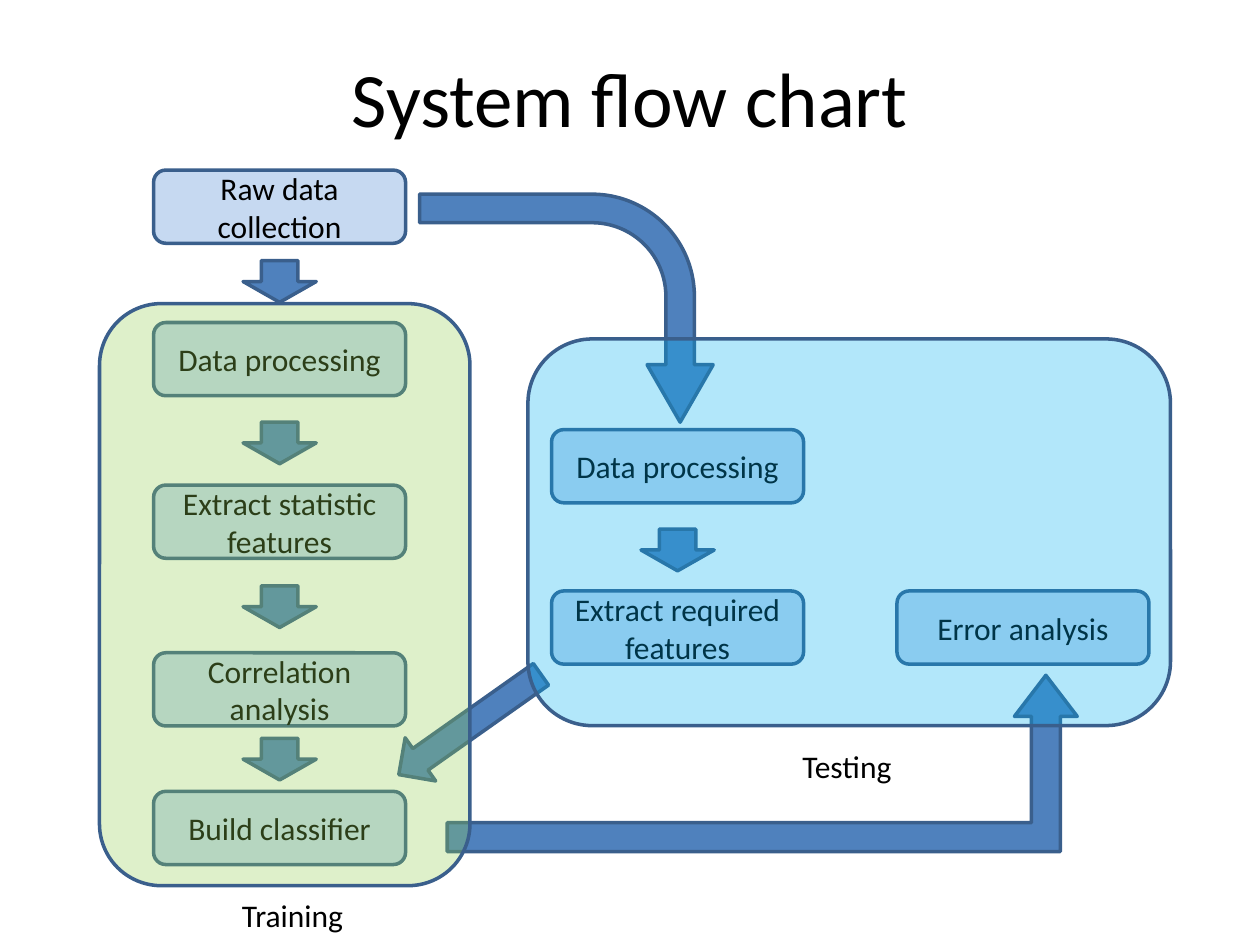
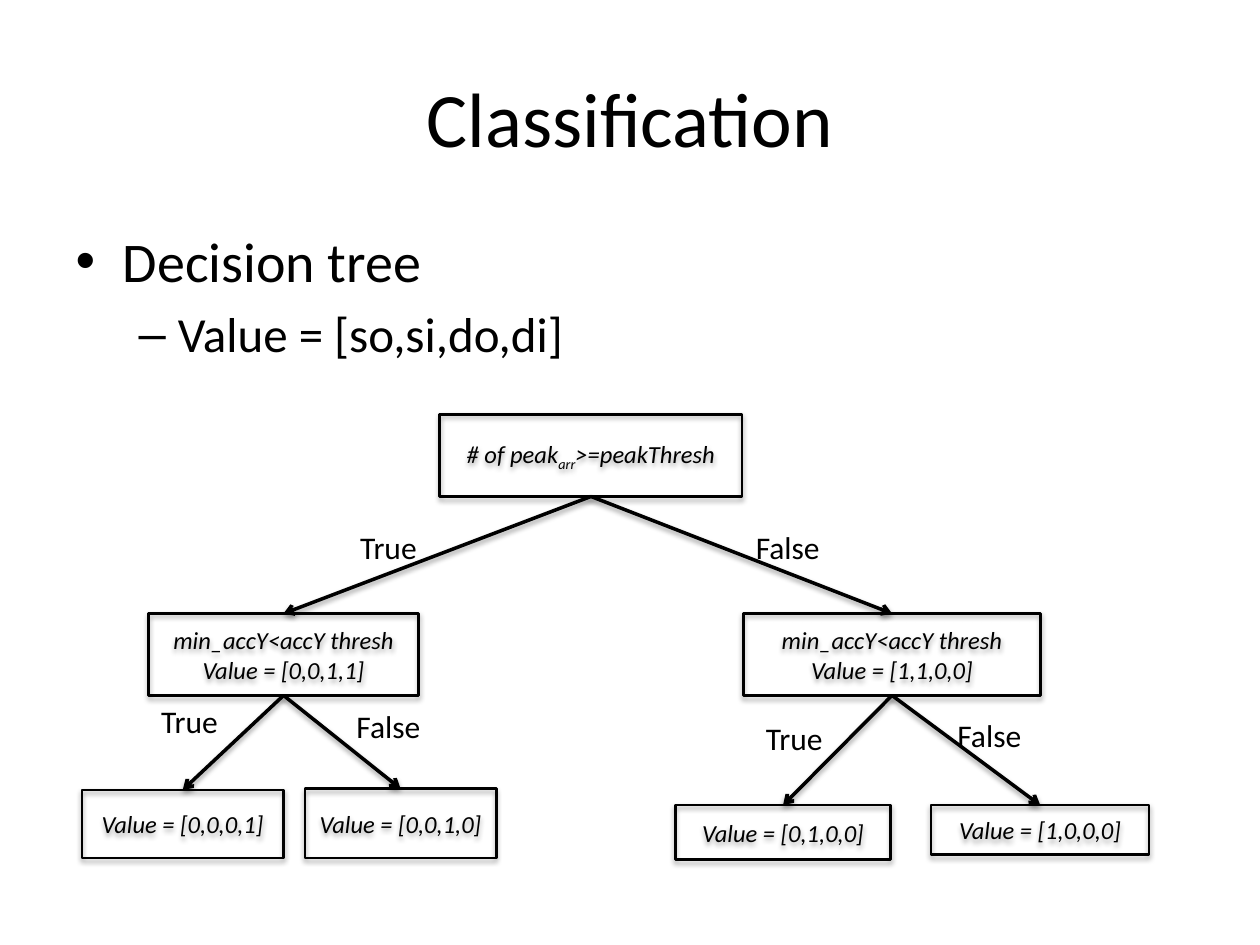
from lxml.etree import SubElement
from pptx import Presentation
from pptx.dml.color import RGBColor
from pptx.enum.shapes import MSO_CONNECTOR as Link, MSO_SHAPE as Kind
from pptx.enum.text import MSO_ANCHOR as Anchor, PP_ALIGN as Align
from pptx.oxml.ns import qn
from pptx.util import Pt

BLACK = RGBColor(0x00, 0x00, 0x00)
PALE = RGBColor(0xC6, 0xD9, 0xF1)
BLUE = RGBColor(0x4F, 0x81, 0xBD)
NAVY = RGBColor(0x3A, 0x5F, 0x8C)
GREEN = RGBColor(0x92, 0xD0, 0x50)
CYAN = RGBColor(0x00, 0xB0, 0xF0)
FONT = "Calibri"

STEP_W, STEP_H = 144, 41.8
DOWN_W, DOWN_H = 41.8, 23.8
FLOWS = [
    (87.8, [("Raw data collection", 97.2), ("Data processing", 184.3),
            ("Extract statistic features", 277.2), ("Correlation analysis", 373),
            ("Build classifier", 452.2)], [149, 241.2, 334.8, 421.9]),
    (315.2, [("Data processing", 245.5), ("Extract required features", 337.7)], [302.4]),
    (512.6, [("Error analysis", 337.7)], []),
]
BENDS = [
    (Kind.BENT_ARROW, (258.5, 92.2, 130.3, 167.8), 90, [0.125, 0.145, 0.252, 0.449]),
    (Kind.DOWN_ARROW, (253.4, 364.3, 30.2, 99.4), 54.8, []),
    (Kind.BENT_UP_ARROW, (255.6, 385.9, 360, 100.8), 0, [0.164, 0.178, 0.233]),
]
ZONES = [
    ("Training", GREEN, (56.9, 173.5, 211.7, 332.6), (124.6, 508.3)),
    ("Testing", CYAN, (301.7, 193.7, 367.2, 221), (441.4, 423.4)),
]

BULLETS = [("Decision tree", 0, 32), ("Value = [so,si,do,di]", 1, 28)]
NODES = {
    "root": ("# of peak|arr|>=peakThresh", (251.3, 236.9, 172.8, 46.8)),
    "left": ("min_accY<accY thresh\nValue = [0,0,1,1]", (85, 350.6, 154.1, 46.8)),
    "right": ("min_accY<accY thresh\nValue = [1,1,0,0]", (424.8, 350.6, 169.9, 46.8)),
    "so_no": ("Value = [0,0,0,1]", (46.8, 451.4, 115.2, 38.9)),
    "do": ("Value = [0,0,1,0]", (174.2, 450.7, 109.4, 39.6)),
    "si": ("Value = [0,1,0,0]", (385.9, 460.1, 123.1, 31)),
    "so": ("Value = [1,0,0,0]", (532.1, 460.1, 124.6, 28.1)),
}
EDGES = [
    ("root", "left", "True", (198.7, 298.1)),
    ("root", "right", "False", (424.8, 298.1)),
    ("left", "so_no", "True", (85, 397.4)),
    ("left", "do", "False", (196.6, 400.3)),
    ("right", "si", "True", (430.6, 407.5)),
    ("right", "so", "False", (540, 405.4)),
]


def style(frame, size, align=None, slant=None):
    for para in frame.paragraphs:
        if align is not None:
            para.alignment = align
        for run in para.runs:
            font = run.font
            font.name, font.size, font.italic = FONT, Pt(size), slant
            font.color.rgb = BLACK


def start(deck, layout, title, top):
    slide = deck.slides.add_slide(deck.slide_layouts[layout])
    head = slide.shapes.title
    head.left, head.top, head.width, head.height = map(Pt, (36, top, 648, 90))
    head.text_frame.text = title
    head.text_frame.vertical_anchor = Anchor.MIDDLE
    style(head.text_frame, 44, Align.CENTER)
    return slide


def block(slide, kind, box, fill, text="", angle=0, bends=()):
    shape = slide.shapes.add_shape(kind, *map(Pt, box))
    shape.shadow.inherit = False
    shape.fill.solid()
    shape.fill.fore_color.rgb = fill
    shape.line.color.rgb = NAVY
    shape.line.width = Pt(2)
    shape.rotation = angle
    for i, bend in enumerate(bends):
        shape.adjustments[i] = bend
    if text:
        shape.text_frame.text = text
        style(shape.text_frame, 18, Align.CENTER)
    return shape


def label(slide, text, spot, width, align=Align.LEFT):
    box = slide.shapes.add_textbox(*map(Pt, (*spot, width, 28.8)))
    box.text_frame.word_wrap = True
    box.text_frame.text = text
    style(box.text_frame, 18, align)


def shade(shape, alpha, dist):
    glow = SubElement(shape.element.spPr, qn("a:effectLst"))
    drop = SubElement(glow, qn("a:outerShdw"), blurRad=str(Pt(3.1)),
                      dist=str(Pt(dist)), dir="5400000", rotWithShape="0")
    tint = SubElement(drop, qn("a:srgbClr"), val=str(BLACK))
    SubElement(tint, qn("a:alpha"), val=str(alpha * 1000))


def node(slide, text, box):
    shape = slide.shapes.add_shape(Kind.RECTANGLE, *map(Pt, box))
    shape.fill.background()
    shape.line.color.rgb = BLACK
    shape.line.width = Pt(1.5)
    shade(shape, 35, 1.8)
    frame = shape.text_frame
    for i, line in enumerate(text.split("\n")):
        para = frame.add_paragraph() if i else frame.paragraphs[0]
        for j, part in enumerate(line.split("|")):
            run = para.add_run()
            run.text = part
            if j == 1:
                run.font._element.set("baseline", "-25000")
    style(frame, 14, Align.CENTER, True)
    return shape


def edge(slide, top, low):
    line = slide.shapes.add_connector(Link.STRAIGHT, 0, 0, 0, 0)
    line.begin_connect(top, 2)
    line.end_connect(low, 0)
    line.line.color.rgb = BLACK
    line.line.width = Pt(2)
    SubElement(line.line._get_or_add_ln(), qn("a:tailEnd"), type="arrow")
    shade(line, 38, 1.6)


def flow(deck):
    slide = start(deck, 5, "System flow chart", 10.1)
    for left, steps, downs in FLOWS:
        for text, top in steps:
            block(slide, Kind.ROUNDED_RECTANGLE, (left, top, STEP_W, STEP_H), PALE, text)
        mid = left + (STEP_W - DOWN_W) / 2
        for top in downs:
            block(slide, Kind.DOWN_ARROW, (mid, top, DOWN_W, DOWN_H), BLUE)
    for kind, box, angle, bends in BENDS:
        block(slide, kind, box, BLUE, "", angle, bends)
    for text, tint, box, spot in ZONES:
        zone = block(slide, Kind.ROUNDED_RECTANGLE, box, tint)
        color = zone.element.spPr.find(qn("a:solidFill"))[0]
        SubElement(color, qn("a:alpha"), val="30000")
    for text, tint, box, spot in ZONES:
        label(slide, text, spot, 85, Align.CENTER)


def tree(deck):
    slide = start(deck, 1, "Classification", 21.6)
    body = slide.placeholders[1]
    body.left, body.top, body.width, body.height = map(Pt, (36, 126, 648, 356.4))
    frame = body.text_frame
    frame.text = "\n".join(text for text, level, size in BULLETS)
    style(frame, 32)
    for para, (text, level, size) in zip(frame.paragraphs, BULLETS):
        para.level = level
        para.runs[0].font.size = Pt(size)
    nodes = {key: node(slide, *item) for key, item in NODES.items()}
    for top, low, text, spot in EDGES:
        edge(slide, nodes[top], nodes[low])
    for top, low, text, spot in EDGES:
        label(slide, text, spot, 59 if text == "True" else 75.6)


def main():
    deck = Presentation()
    deck.slide_width, deck.slide_height = Pt(720), Pt(540)
    flow(deck)
    tree(deck)
    deck.save("out.pptx")


if __name__ == "__main__":
    main()
